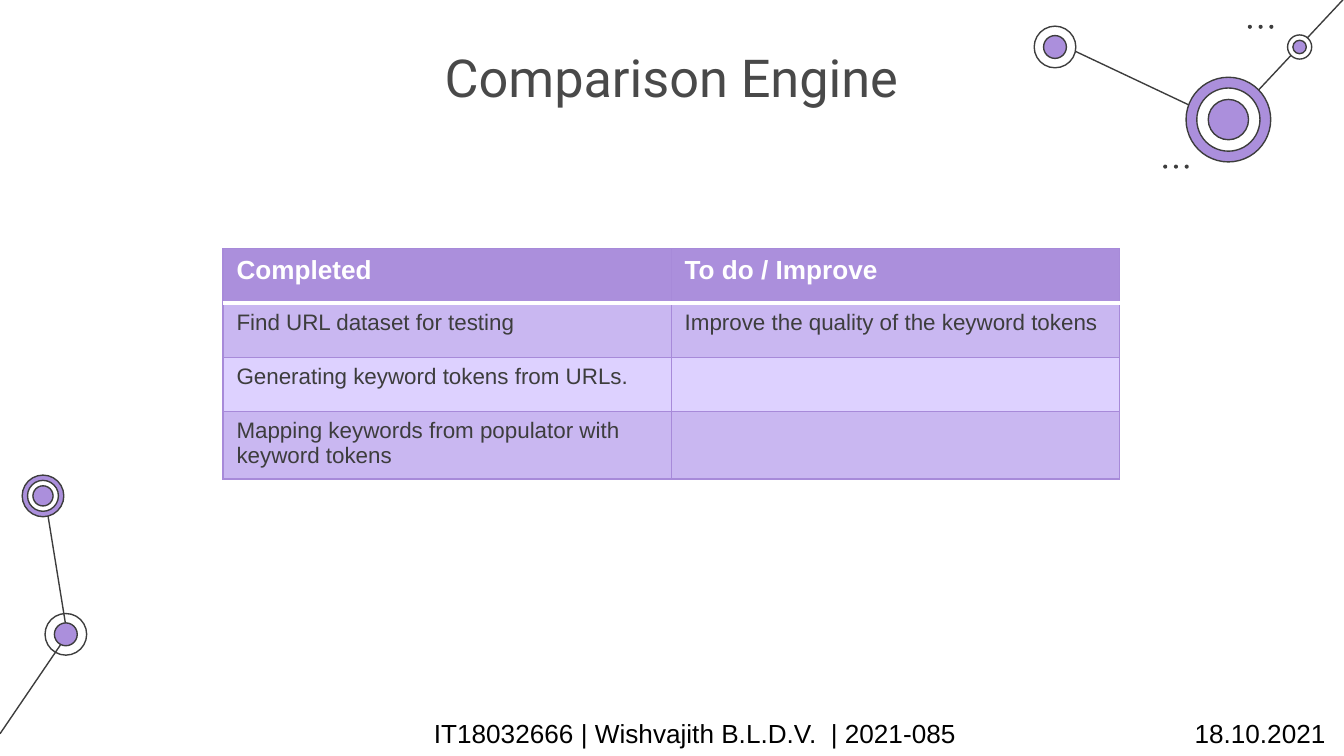
from lxml.etree import SubElement
from pptx import Presentation
from pptx.dml.color import RGBColor
from pptx.enum.shapes import MSO_CONNECTOR as Connector, MSO_SHAPE as Shape
from pptx.enum.text import PP_ALIGN as Align
from pptx.oxml.ns import qn
from pptx.util import Inches, Pt

PURPLE = RGBColor(0xAB, 0x8F, 0xDC)
BORDER = RGBColor(0xA7, 0x8A, 0xD9)
BAND_DARK = RGBColor(0xC9, 0xB7, 0xF1)
BAND_LIGHT = RGBColor(0xDD, 0xD1, 0xFF)
INK = RGBColor(0x3D, 0x3D, 0x3D)
TITLE_GREY = RGBColor(0x49, 0x49, 0x49)
WHITE = RGBColor(0xFF, 0xFF, 0xFF)
BLACK = RGBColor(0, 0, 0)

LINKS = [
    (0.5, 4.72, 0.33, 3.67),
    (0, 5.46, 0.49, 4.74),
    (9.14, 0.92, 7.87, 0.32),
    (10, -0.01, 9.14, 0.91),
]
NODES = [
    (0.49, 4.72, [(0.31, None), (0.17, PURPLE)]),
    (0.32, 3.69, [(0.31, PURPLE), (0.23, WHITE), (0.15, PURPLE)]),
    (9.14, 0.89, [(0.63, PURPLE), (0.47, WHITE), (0.3, PURPLE)]),
    (7.85, 0.35, [(0.31, WHITE), (0.17, PURPLE)]),
    (9.67, 0.35, [(0.18, WHITE), (0.1, PURPLE)]),
]
DOT_ROWS = [(9.3, 0.2), (8.67, 1.24)]
ROWS = [
    ("Completed", "To do / Improve"),
    ("Find URL dataset for testing", "Improve the quality of the keyword tokens"),
    ("Generating keyword tokens from URLs.", ""),
    ("Mapping keywords from populator with keyword tokens", ""),
]


def add_run(para, text, size, color, font="Arial", bold=False):
    """Append one formatted run to a paragraph."""
    span = para.add_run()
    span.text = text
    span.font.name = font
    span.font.size = Pt(size)
    span.font.bold = bold
    span.font.color.rgb = color


def add_box(page, left, top, width, height):
    """Add a wrapping text box and return its frame."""
    box = page.shapes.add_textbox(
        Inches(left), Inches(top), Inches(width), Inches(height))
    box.text_frame.word_wrap = True
    return box.text_frame


def add_link(page, x1, y1, x2, y2):
    """Draw a thin straight line between two points."""
    link = page.shapes.add_connector(
        Connector.STRAIGHT, Inches(x1), Inches(y1), Inches(x2), Inches(y2))
    link.line.color.rgb = INK
    link.line.width = Pt(0.75)
    SubElement(link._element.spPr, qn("a:effectLst"))


def add_disc(page, x, y, size, fill, outlined=True):
    """Draw a circle around a centre point."""
    disc = page.shapes.add_shape(
        Shape.OVAL, Inches(x - size / 2), Inches(y - size / 2),
        Inches(size), Inches(size))
    disc.shadow.inherit = False
    if fill is None:
        disc.fill.background()
    else:
        disc.fill.solid()
        disc.fill.fore_color.rgb = fill
    if outlined:
        disc.line.color.rgb = INK
        disc.line.width = Pt(0.75)
    else:
        disc.line.fill.background()


def set_border(cell, side, color, width):
    """Set the line on one side of a table cell."""
    line = SubElement(cell._tc.get_or_add_tcPr(), qn(f"a:ln{side}"),
                      w=str(Pt(width)))
    fill = SubElement(line, qn("a:solidFill"))
    SubElement(fill, qn("a:srgbClr"), val=str(color))


def style_cell(cell, row):
    """Give a cell the borders and fill of its row."""
    divider, plain = (WHITE, 2), (BORDER, 0.75)
    set_border(cell, "L", *plain)
    set_border(cell, "R", *plain)
    set_border(cell, "T", *(divider if row == 1 else plain))
    set_border(cell, "B", *(divider if row == 0 else plain))
    cell.fill.solid()
    if row == 0:
        cell.fill.fore_color.rgb = PURPLE
    else:
        cell.fill.fore_color.rgb = BAND_DARK if row % 2 else BAND_LIGHT


def add_task_table(page):
    """Add the table of completed and remaining tasks."""
    table = page.shapes.add_table(
        len(ROWS), 2, Inches(1.66), Inches(1.85),
        Inches(6.67), Inches(1.62)).table
    for row, texts in enumerate(ROWS):
        header = row == 0
        for column, text in enumerate(texts):
            cell = table.cell(row, column)
            style_cell(cell, row)
            if text:
                add_run(cell.text_frame.paragraphs[0], text,
                        14 if header else 12, WHITE if header else INK,
                        bold=header)


def add_title(page):
    """Add the centred slide title."""
    frame = add_box(page, 2.76, 0.24, 4.47, 0.63)
    frame.margin_top = frame.margin_bottom = Inches(0.1)
    para = frame.paragraphs[0]
    para.alignment = Align.CENTER
    add_run(para, "Comparison Engine", 28, TITLE_GREY, "Roboto")


def add_footer(page):
    """Add the author line and date, placed by tab stops."""
    para = add_box(page, 1.13, 5.29, 10, 0.57).paragraphs[0]
    stops = SubElement(para._p.get_or_add_pPr(), qn("a:tabLst"))
    for position in (2, 7.66):
        SubElement(stops, qn("a:tab"), pos=str(Inches(position)), algn="l")
    add_run(para, "\tIT18032666 | Wishvajith B.L.D.V.  | 2021-085", 14, BLACK)
    add_run(para, "\t18.10.2021", 14, BLACK)


def main():
    """Build the slide and save it."""
    deck = Presentation()
    deck.slide_width = Inches(10)
    deck.slide_height = deck.slide_width * 9 // 16
    page = deck.slides.add_slide(deck.slide_layouts[6])
    for link in LINKS:
        add_link(page, *link)
    for x, y, rings in NODES:
        for size, fill in rings:
            add_disc(page, x, y, size, fill)
    for x, y in DOT_ROWS:
        for step in range(3):
            add_disc(page, x + step * 0.08, y, 0.03, INK, outlined=False)
    add_title(page)
    add_task_table(page)
    add_footer(page)
    deck.save("out.pptx")


if __name__ == "__main__":
    main()
